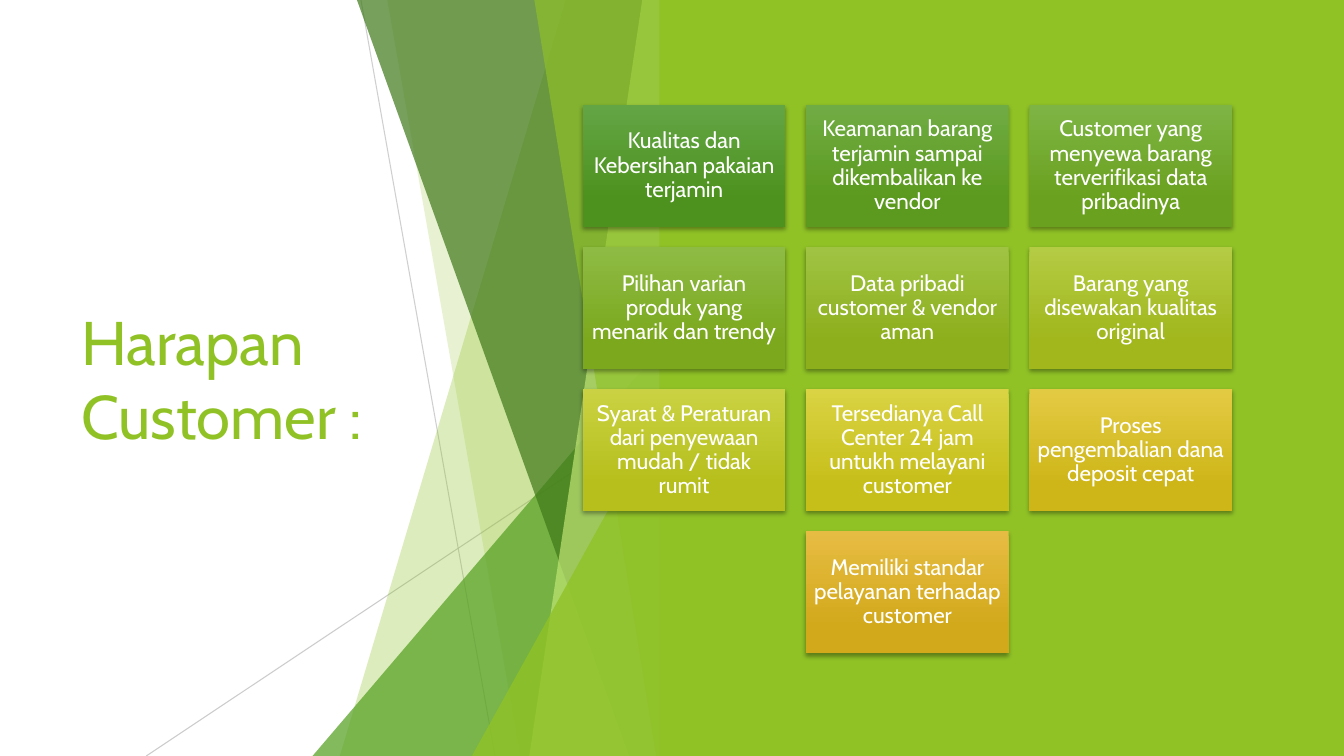
from lxml.etree import SubElement
from pptx import Presentation
from pptx.dml.color import RGBColor
from pptx.enum.shapes import MSO_CONNECTOR, MSO_SHAPE
from pptx.enum.text import MSO_ANCHOR, PP_ALIGN
from pptx.oxml.ns import qn
from pptx.util import Inches, Pt


def color(value):
    return RGBColor.from_string(value)


def write(frame, text, size=16, font="Cabin", ink="FFFFFF", align=PP_ALIGN.LEFT,
          inset=0.1, spacing=1.0):
    frame.word_wrap = True
    frame.vertical_anchor = MSO_ANCHOR.MIDDLE
    frame.margin_left = frame.margin_right = Inches(inset)
    frame.margin_top = frame.margin_bottom = Inches(min(inset, 0.07))
    paragraph = frame.paragraphs[0]
    paragraph.alignment = align
    paragraph.line_spacing = spacing
    run = paragraph.add_run()
    run.text = text
    run.font.size = Pt(size)
    run.font.name = font
    run.font.color.rgb = color(ink)


def set_alpha(fill_parent, percent):
    tint = fill_parent.find(qn("a:solidFill")).find(qn("a:srgbClr"))
    SubElement(tint, qn("a:alpha"), val=str(percent * 1000))


class FacetSlide:
    accent = "90C226"
    band_right = 6.66
    height = 7.5

    def __init__(self, presentation):
        self.slide = presentation.slides.add_slide(presentation.slide_layouts[6])
        self.shapes = self.slide.shapes

    def paint(self, shape, fill, alpha=100):
        shape.fill.solid()
        shape.fill.fore_color.rgb = color(fill)
        shape.line.fill.background()
        shape.shadow.inherit = False
        if alpha < 100:
            set_alpha(shape._element.spPr, alpha)

    def line(self, start, end, alpha):
        connector = self.shapes.add_connector(
            MSO_CONNECTOR.STRAIGHT, *map(Inches, (*start, *end)))
        connector.line.width = Pt(0.75)
        connector.line.color.rgb = color("BFBFBF")
        properties = connector._element.spPr
        set_alpha(properties.find(qn("a:ln")), alpha)
        SubElement(properties, qn("a:effectLst"))

    def band(self, top_left, bottom_left, fill, alpha):
        corners = [(self.band_right, 0), (self.band_right, self.height),
                   (bottom_left, self.height)]
        builder = self.shapes.build_freeform(Inches(top_left), 0)
        builder.add_line_segments([(Inches(x), Inches(y)) for x, y in corners])
        self.paint(builder.convert_to_shape(), fill, alpha)

    def triangle(self, left, top, fill, alpha):
        shape = self.shapes.add_shape(
            MSO_SHAPE.ISOSCELES_TRIANGLE, Inches(left), Inches(top),
            Inches(self.band_right - left), Inches(self.height - top))
        shape.adjustments[0] = 1
        self.paint(shape, fill, alpha)

    def panel(self, left, width):
        shape = self.shapes.add_shape(
            MSO_SHAPE.RECTANGLE, Inches(left), 0, Inches(width), Inches(self.height))
        self.paint(shape, self.accent)

    def title(self, text, left, top, width, height):
        box = self.shapes.add_textbox(*map(Inches, (left, top, width, height)))
        write(box.text_frame, text, size=44, ink=self.accent)

    def card(self, text, left, top, light, dark):
        shape = self.shapes.add_shape(
            MSO_SHAPE.RECTANGLE, *map(Inches, (left, top, 2.01, 1.21)))
        shape.fill.gradient()
        shape.fill.gradient_angle = 270
        for stop, position, tint in zip(shape.fill.gradient_stops, (0, 0.78), (light, dark)):
            stop.position = position
            stop.color.rgb = color(tint)
        shape.line.fill.background()
        shape.shadow.inherit = False
        effects = shape._element.spPr.find(qn("a:effectLst"))
        shadow = SubElement(effects, qn("a:outerShdw"), blurRad=str(Pt(3)),
                            dist=str(Pt(2)), dir="5400000", rotWithShape="0")
        black = SubElement(shadow, qn("a:srgbClr"), val="000000")
        SubElement(black, qn("a:alpha"), val="35000")
        write(shape.text_frame, text, align=PP_ALIGN.CENTER, inset=0.07, spacing=0.9)


EXPECTATIONS = [
    ("Kualitas dan Kebersihan pakaian terjamin", "63A545", "4D921E"),
    ("Keamanan barang terjamin sampai dikembalikan ke vendor", "70AC44", "5B9A1E"),
    ("Customer yang menyewa barang terverifikasi data pribadinya", "7EB444", "6AA11E"),
    ("Pilihan varian produk yang menarik dan trendy", "8EBB44", "7BA81D"),
    ("Data pribadi customer & vendor aman", "A0C344", "8DAF1C"),
    ("Barang yang disewakan kualitas original", "B4CB44", "A1B71C"),
    ("Syarat & Peraturan dari penyewaan mudah / tidak rumit", "CAD243", "B6BF1B"),
    ("Tersedianya Call Center 24 jam untukh melayani customer", "DAD343", "C6BF1A"),
    ("Proses pengembalian dana deposit cepat", "E3CA43", "CEB619"),
    ("Memiliki standar pelayanan terhadap customer", "E7BC43", "D2A91B"),
]
COLUMNS = 3


def main():
    presentation = Presentation()
    presentation.slide_width = Inches(13.33)
    presentation.slide_height = Inches(7.5)
    facet = FacetSlide(presentation)

    facet.title("Harapan Customer :", 0.71, 1.51, 3.88, 4.48)
    facet.line((3.58, 0), (4.91, 7.5), 75)
    facet.line((6.66, 4.03), (1.45, 7.5), 80)
    facet.band(5.61, 3.37, "90C226", 30)
    facet.band(3.84, 5.16, "90C226", 20)
    facet.triangle(3.1, 3.33, "54A021", 72)
    facet.band(3.54, 6.24, "3F7819", 70)
    facet.band(6.37, 5.25, "C0E474", 70)
    facet.band(5.3, 6.51, "90C226", 65)
    facet.triangle(4.68, 3.93, "90C226", 80)
    facet.panel(6.54, 6.79)

    for index, (text, light, dark) in enumerate(EXPECTATIONS):
        row, column = divmod(index, COLUMNS)
        cards_in_row = min(COLUMNS, len(EXPECTATIONS) - row * COLUMNS)
        column += (COLUMNS - cards_in_row) / 2
        facet.card(text, 5.78 + 2.215 * column, 1.04 + 1.41 * row, light, dark)

    presentation.save("out.pptx")


if __name__ == "__main__":
    main()
